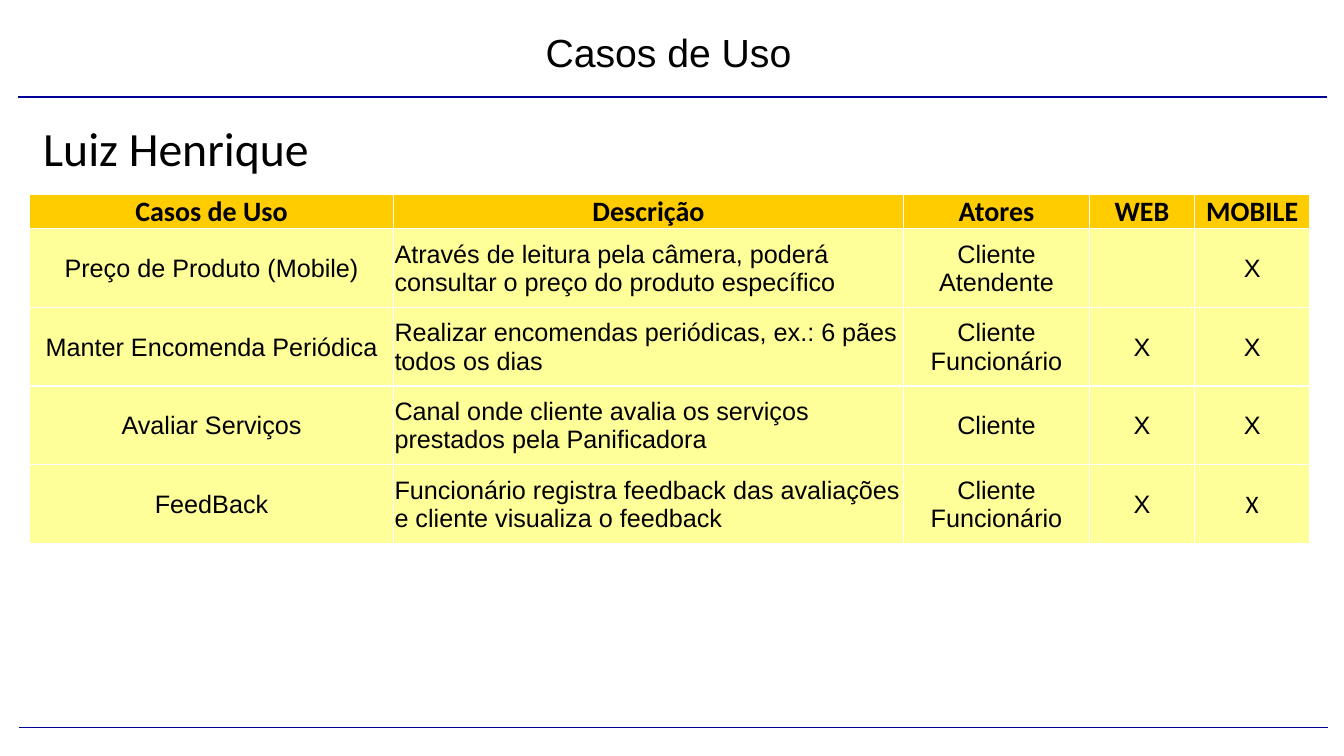
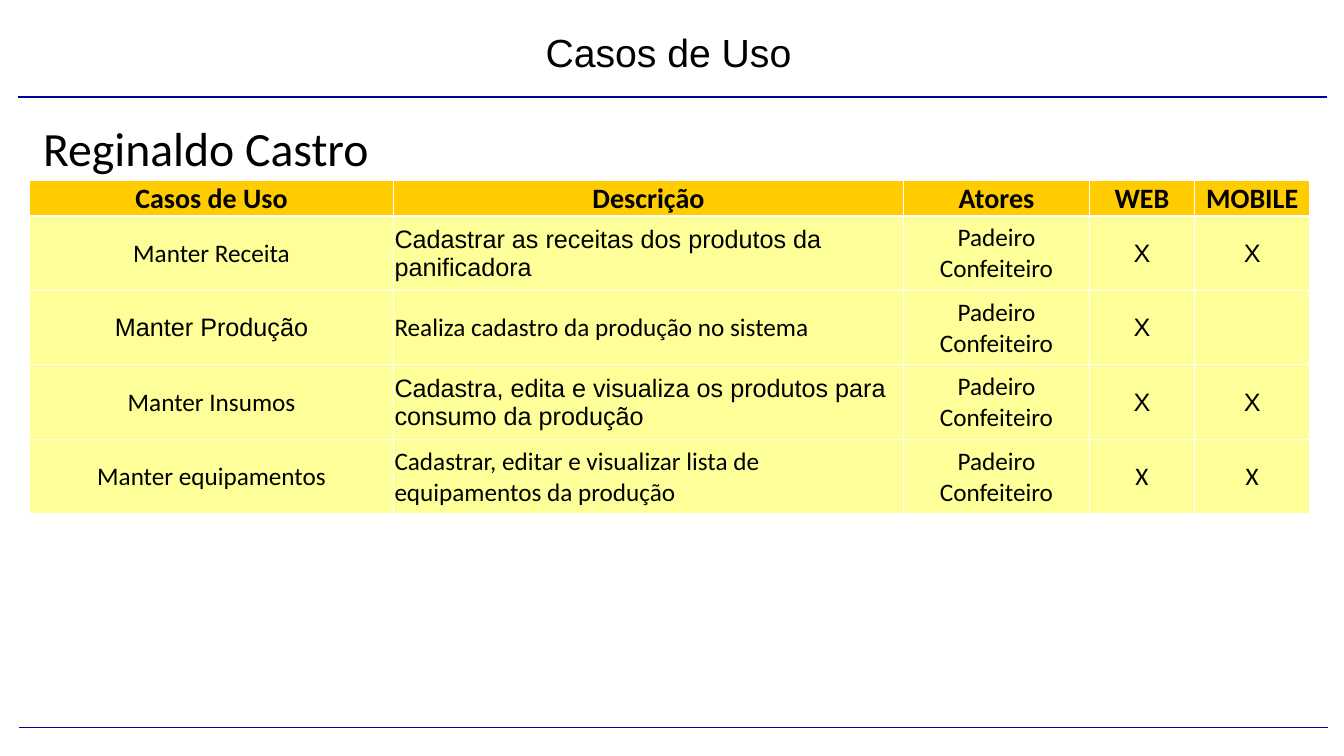
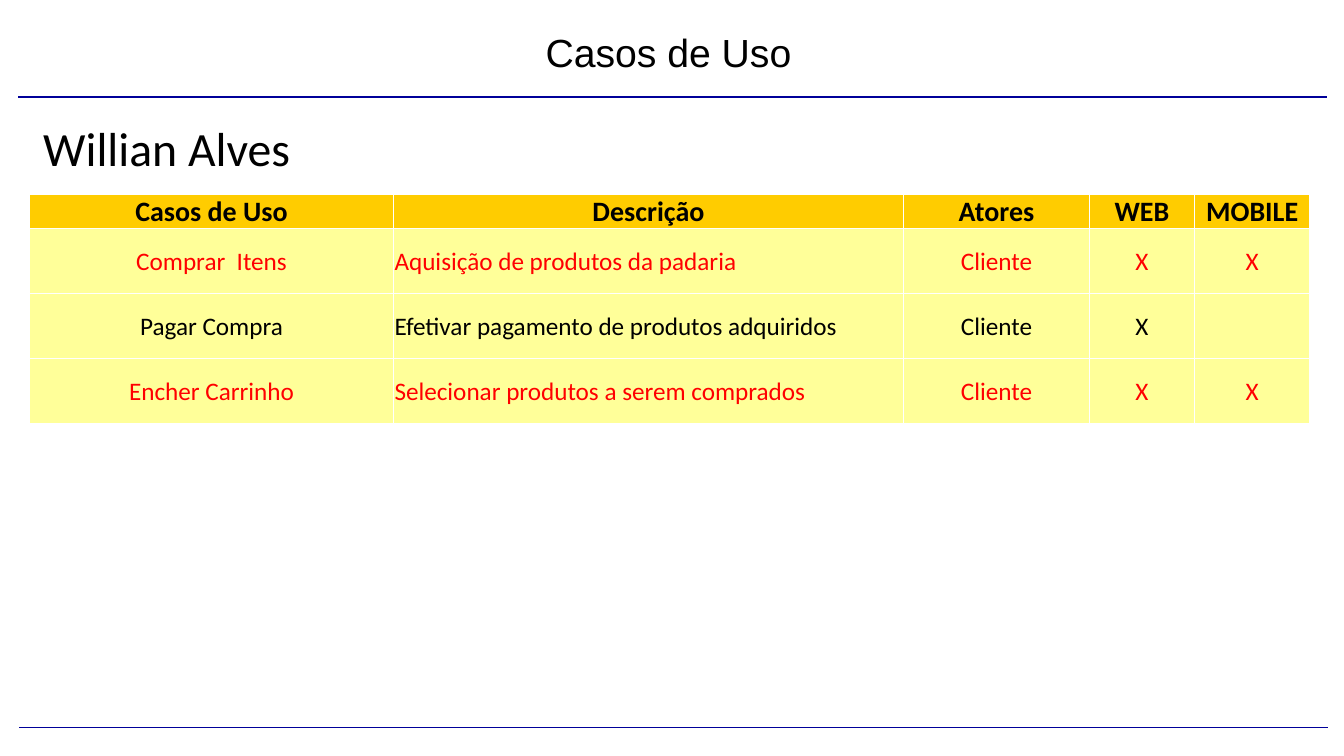
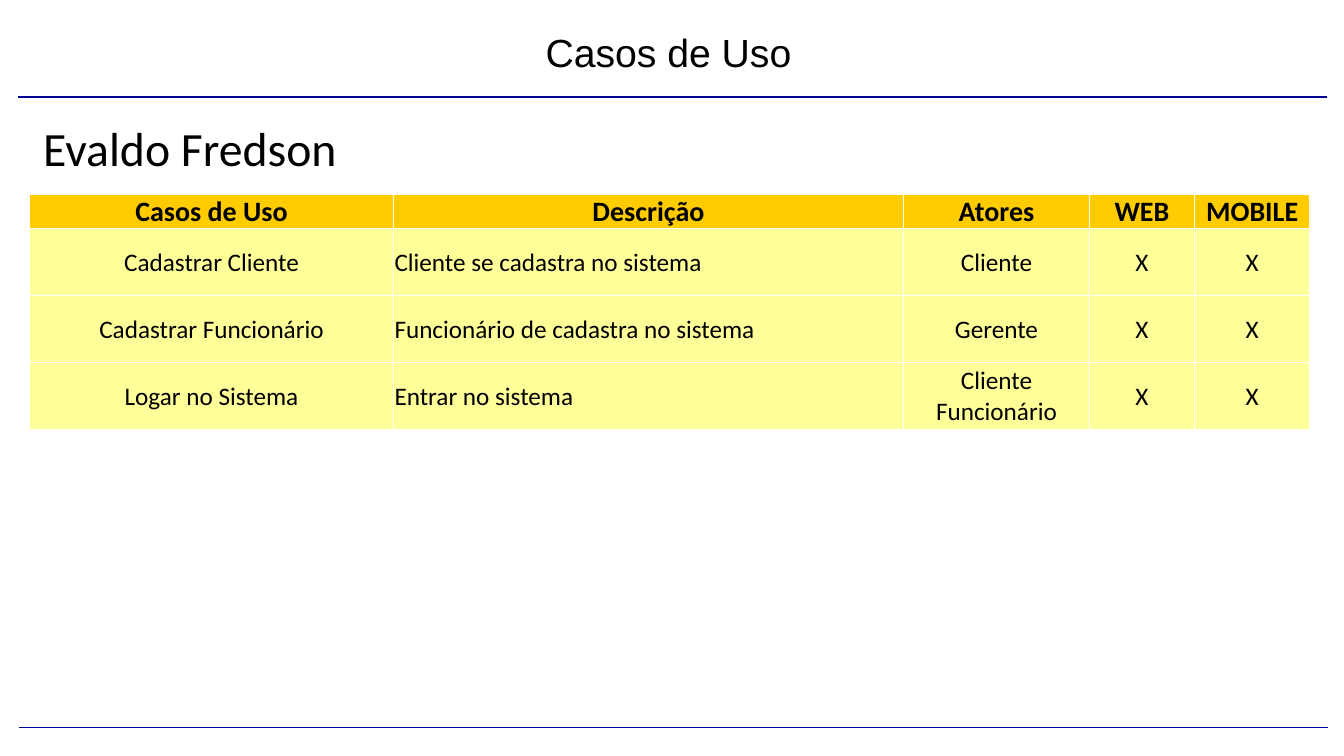
from dataclasses import dataclass

from lxml import etree
from pptx import Presentation
from pptx.dml.color import RGBColor
from pptx.enum.shapes import MSO_CONNECTOR
from pptx.enum.text import MSO_ANCHOR, MSO_AUTO_SIZE, PP_ALIGN
from pptx.oxml.ns import qn
from pptx.util import Pt

LEFT, CENTER = PP_ALIGN.LEFT, PP_ALIGN.CENTER
TOP, MIDDLE = MSO_ANCHOR.TOP, MSO_ANCHOR.MIDDLE
GROW = MSO_AUTO_SIZE.SHAPE_TO_FIT_TEXT
STRAIGHT = MSO_CONNECTOR.STRAIGHT


@dataclass(frozen=True)
class Theme:
    text: str = "000000"
    highlight: str = "FF0000"
    rule: str = "000099"
    border: str = "FFFFFF"
    header_fill: str = "FFCC00"
    body_fill: str = "FFFF99"
    title_font: str = "Arial"
    name_font: str = "Calibri"
    title_size: float = 28
    name_size: float = 34.1
    header_size: float = 20
    body_size: float = 18


THEME = Theme()
FONTS = {"A": "Arial", "C": "Calibri"}

TITLE = "Casos de Uso"
HEADERS = ["Casos de Uso", "Descrição", "Atores", "WEB", "MOBILE"]
COLUMN_WIDTHS = [260, 364.5, 133, 75, 82.5]
ALIGNMENTS = [CENTER, LEFT, CENTER, CENTER, CENTER]
TABLE_LEFT = 21.2
RULES = [(13, 69.3), (13.7, 520)]
RULE_LENGTH = 935.3

# Each row: cell texts, one font letter per column, highlighted or not
PEOPLE = [
    {"name": "Luiz Henrique", "top": 138.6, "header": 24.5, "row": 56.2, "rows": [
        (["Preço de Produto (Mobile)",
          "Através de leitura pela câmera, poderá consultar o preço do produto específico",
          "Cliente Atendente", "", "X"], "AAAAA", False),
        (["Manter Encomenda Periódica",
          "Realizar encomendas periódicas, ex.: 6 pães todos os dias",
          "Cliente Funcionário", "X", "X"], "AAAAA", False),
        (["Avaliar Serviços",
          "Canal onde cliente avalia os serviços prestados pela Panificadora",
          "Cliente", "X", "X"], "AAAAA", False),
        (["FeedBack",
          "Funcionário registra feedback das avaliações e cliente visualiza o feedback",
          "Cliente Funcionário", "X", "X"], "AAAAC", False),
    ]},
    {"name": "Reginaldo Castro", "top": 128.8, "header": 25.5, "row": 53.2, "rows": [
        (["Manter Receita", "Cadastrar as receitas dos produtos da panificadora",
          "Padeiro\nConfeiteiro", "X", "X"], "CACAA", False),
        (["Manter Produção", "Realiza cadastro da produção no sistema",
          "Padeiro\nConfeiteiro", "X", ""], "ACCAA", False),
        (["Manter Insumos",
          "Cadastra, edita e visualiza os produtos para consumo da produção",
          "Padeiro\nConfeiteiro", "X", "X"], "CACAA", False),
        (["Manter equipamentos",
          "Cadastrar, editar e visualizar lista de equipamentos da produção",
          "Padeiro\nConfeiteiro", "X", "X"], "CCCCC", False),
    ]},
    {"name": "Willian Alves", "top": 138.6, "header": 24.5, "row": 46.4, "rows": [
        (["Comprar  Itens", "Aquisição de produtos da padaria",
          "Cliente", "X", "X"], "CCCCC", True),
        (["Pagar Compra", "Efetivar pagamento de produtos adquiridos",
          "Cliente", "X", ""], "CCCCC", False),
        (["Encher Carrinho", "Selecionar produtos a serem comprados",
          "Cliente", "X", "X"], "CCCCC", True),
    ]},
    {"name": "Evaldo Fredson", "top": 138.6, "header": 24.5, "row": 47.8, "rows": [
        (["Cadastrar Cliente", "Cliente se cadastra no sistema",
          "Cliente", "X", "X"], "CCCCC", False),
        (["Cadastrar Funcionário", "Funcionário de cadastra no sistema",
          "Gerente", "X", "X"], "CCCCC", False),
        (["Logar no Sistema", "Entrar no sistema",
          "Cliente\nFuncionário", "X", "X"], "CCCCC", False),
    ]},
]


def write(tf, text, font, size, color, align, bold=False):
    tf.text = text
    for p in tf.paragraphs:
        p.alignment = align
        for r in p.runs:
            r.font.name = font
            r.font.size = Pt(size)
            r.font.bold = bold
            r.font.color.rgb = RGBColor.from_string(color)


def add_text(slide, box, anchor, *style):
    tf = slide.shapes.add_textbox(*map(Pt, box)).text_frame
    tf.word_wrap = True
    tf.vertical_anchor = anchor
    write(tf, *style)
    return tf


def add_rules(slide, layout):
    """Draw the two rules and move them to the layout, where all slides show them."""
    for x, y in RULES:
        line = slide.shapes.add_connector(
            STRAIGHT, Pt(x), Pt(y), Pt(x + RULE_LENGTH), Pt(y))
        line.line.width = Pt(0.75)
        line.line.color.rgb = RGBColor.from_string(THEME.rule)
        etree.SubElement(line.element.spPr, qn("a:effectLst"))
        layout.shapes.element.append(line.element)


def style_cell(cell, fill):
    cell.vertical_anchor = MIDDLE
    cell.margin_left = cell.margin_right = cell.margin_top = Pt(0.75)
    cell.margin_bottom = 0
    tc_pr = cell._tc.get_or_add_tcPr()
    for side in ("lnL", "lnR", "lnT", "lnB"):
        ln = etree.SubElement(tc_pr, qn(f"a:{side}"), w=str(Pt(1)))
        solid = etree.SubElement(ln, qn("a:solidFill"))
        etree.SubElement(solid, qn("a:srgbClr"), val=THEME.border)
    cell.fill.solid()
    cell.fill.fore_color.rgb = RGBColor.from_string(fill)


def add_use_cases(slide, person):
    heights = [person["header"]] + [person["row"]] * len(person["rows"])
    table = slide.shapes.add_table(
        len(heights), len(HEADERS), Pt(TABLE_LEFT), Pt(person["top"]),
        Pt(sum(COLUMN_WIDTHS)), Pt(sum(heights))).table
    table.first_row = table.horz_banding = False
    for column, width in zip(table.columns, COLUMN_WIDTHS):
        column.width = Pt(width)
    for row, height in zip(table.rows, heights):
        row.height = Pt(height)

    for i, header in enumerate(HEADERS):
        cell = table.cell(0, i)
        style_cell(cell, THEME.header_fill)
        write(cell.text_frame, header, THEME.name_font, THEME.header_size,
              THEME.text, CENTER, True)
    for n, (texts, fonts, highlighted) in enumerate(person["rows"], 1):
        color = THEME.highlight if highlighted else THEME.text
        for i, (text, font, align) in enumerate(zip(texts, fonts, ALIGNMENTS)):
            cell = table.cell(n, i)
            style_cell(cell, THEME.body_fill)
            write(cell.text_frame, text, FONTS[font], THEME.body_size, color, align)


def main():
    prs = Presentation()
    prs.slide_width, prs.slide_height = Pt(960.5), Pt(540)
    blank = prs.slide_layouts[6]
    for person in PEOPLE:
        slide = prs.slides.add_slide(blank)
        if len(prs.slides) == 1:
            add_rules(slide, blank)
        title = add_text(slide, (140.4, 16.6, 674.6, 41), TOP, TITLE,
                         THEME.title_font, THEME.title_size, THEME.text, CENTER)
        title.auto_size = GROW
        add_use_cases(slide, person)
        add_text(slide, (23.8, 84.2, 756, 41.8), MIDDLE, person["name"],
                 THEME.name_font, THEME.name_size, THEME.text, LEFT)
    prs.save("out.pptx")


if __name__ == "__main__":
    main()
